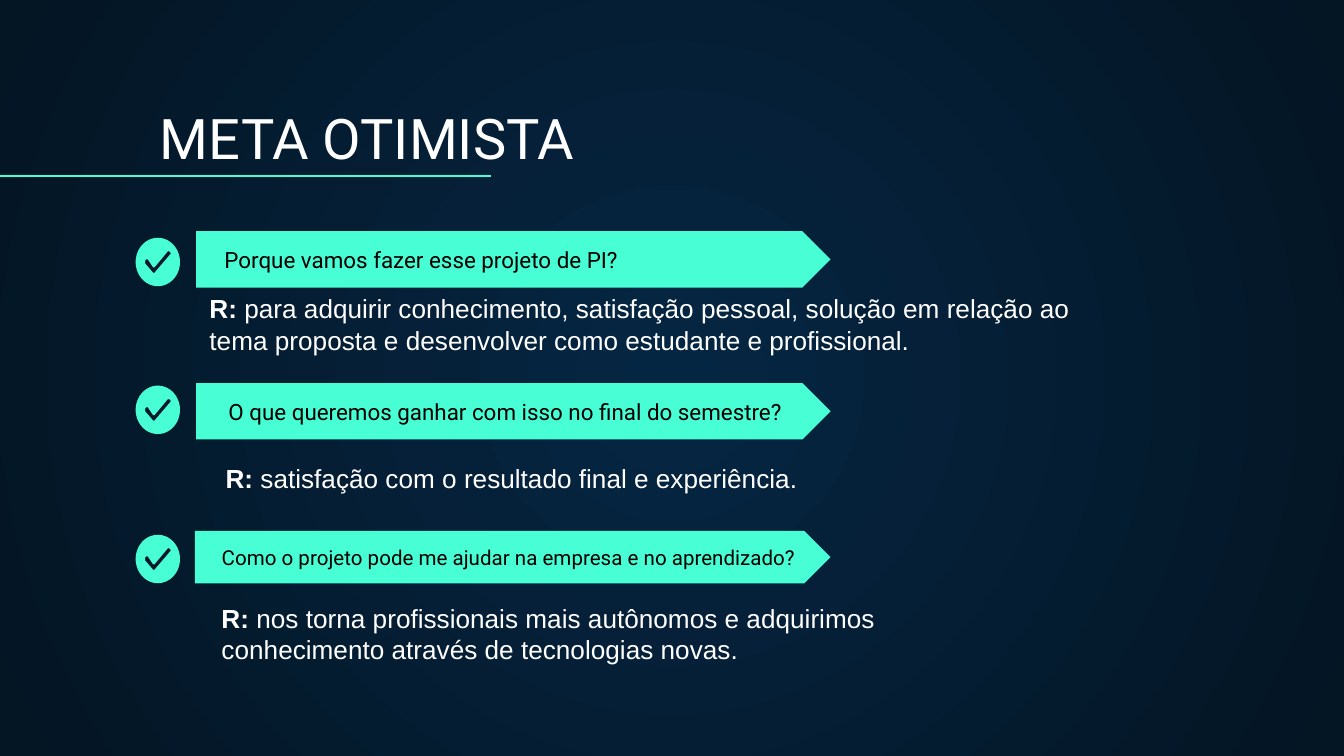
from dataclasses import dataclass
from math import cos, pi, sin

from lxml.etree import SubElement
from pptx import Presentation
from pptx.dml.color import RGBColor
from pptx.enum.shapes import MSO_CONNECTOR, MSO_SHAPE
from pptx.enum.text import MSO_ANCHOR, MSO_AUTO_SIZE, PP_ALIGN
from pptx.oxml.ns import qn
from pptx.util import Inches, Pt


@dataclass(frozen=True)
class Theme:
    center: RGBColor = RGBColor.from_string("052643")
    edge: RGBColor = RGBColor.from_string("041523")
    accent: RGBColor = RGBColor.from_string("48FFD5")
    light: RGBColor = RGBColor.from_string("FFFFFF")
    dark: RGBColor = RGBColor.from_string("000000")
    heading_font: str = "Roboto"
    body_font: str = "Arial"
    title_size: int = 30
    question_size: int = 12
    small_question_size: int = 11
    answer_size: int = 14
    rule_width: float = 0.75


@dataclass(frozen=True)
class Goal:
    question: str
    answer: str
    banner: tuple
    indent: float
    icon_top: float
    answer_box: tuple
    size: int


THEME = Theme()
PAGE_WIDTH = 10
PAGE_HEIGHT = PAGE_WIDTH * 9 / 16
CHECK = [(0.24, 0.1), (0.25, 0.1), (0.26, 0.11), (0.26, 0.12), (0.14, 0.26),
         (0.13, 0.26), (0.07, 0.19), (0.07, 0.17), (0.08, 0.16), (0.09, 0.16),
         (0.13, 0.22), (0.14, 0.22)]
GOALS = [
    Goal("Porque vamos fazer esse projeto de PI?",
         "para adquirir conhecimento, satisfação pessoal, solução em relação ao "
         "tema proposta e desenvolver como estudante e profissional.",
         (1.46, 1.72, 4.72, 0.42), 0.21, 1.77, (1.46, 2.13, 6.85, 0.57),
         THEME.question_size),
    Goal("O que queremos ganhar com isso no final do semestre?",
         "satisfação com o resultado final e experiência.",
         (1.46, 2.85, 4.72, 0.42), 0.24, 2.87, (1.58, 3.39, 5, 0.34),
         THEME.question_size),
    Goal("Como o projeto pode me ajudar na empresa e no aprendizado?",
         "nos torna profissionais mais autônomos e adquirimos "
         "conhecimento através de tecnologias novas.",
         (1.45, 3.95, 4.73, 0.39), 0.2, 3.98, (1.55, 4.43, 6.3, 0.57),
         THEME.small_question_size),
]


def inches(*values):
    return [Inches(value) for value in values]


def write(para, text, *, size, font, color, bold=False):
    span = para.add_run()
    span.text = text
    span.font.size = Pt(size)
    span.font.name = font
    span.font.color.rgb = color
    span.font.bold = bold
    para.alignment = PP_ALIGN.LEFT


def set_frame(frame, anchor, left=0.1, right=0.1, top=0.05, bottom=0.05):
    frame.word_wrap = True
    frame.auto_size = MSO_AUTO_SIZE.NONE
    frame.vertical_anchor = anchor
    frame.margin_left, frame.margin_right = inches(left, right)
    frame.margin_top, frame.margin_bottom = inches(top, bottom)


def paint(shape):
    shape.shadow.inherit = False
    shape.fill.solid()
    shape.fill.fore_color.rgb = THEME.accent
    shape.line.fill.background()


def draw_background(page):
    fill = page.background.fill
    fill.gradient()
    for stop, color in zip(fill.gradient_stops, (THEME.center, THEME.edge)):
        stop.color.rgb = color
    gradient = page.element.find(".//" + qn("a:gradFill"))
    gradient.remove(gradient.find(qn("a:lin")))
    radial = SubElement(gradient, qn("a:path"), {"path": "circle"})
    SubElement(radial, qn("a:fillToRect"), dict.fromkeys("ltrb", "50000"))


def draw_title(page, left, top, width, height):
    box = page.shapes.title
    box.left, box.top, box.width, box.height = inches(left, top, width, height)
    set_frame(box.text_frame, MSO_ANCHOR.BOTTOM, top=0.1, bottom=0.09)
    write(box.text_frame.paragraphs[0], "META OTIMISTA", size=THEME.title_size,
          font=THEME.heading_font, color=THEME.light)
    rule_top = top + height - 0.05
    rule = page.shapes.add_connector(MSO_CONNECTOR.STRAIGHT,
                                     *inches(0, rule_top, 3.65, rule_top))
    rule.line.color.rgb = THEME.accent
    rule.line.width = Pt(THEME.rule_width)
    SubElement(rule.element.spPr, qn("a:effectLst"))


def draw_check(page, left, top, width, height):
    steps = 72
    angles = [2 * pi * step / steps for step in range(steps)]
    disc = [(width / 2 * (1 + cos(angle)), height / 2 * (1 + sin(angle)))
            for angle in angles]
    rim, mark = [[inches(left + x, top + y) for x, y in points]
                 for points in (disc, CHECK)]
    builder = page.shapes.build_freeform(*rim[0])
    builder.add_line_segments(rim[1:], close=True)
    builder.move_to(*mark[0])
    builder.add_line_segments(mark[1:], close=True)
    paint(builder.convert_to_shape())


def draw_goal(page, goal):
    banner = page.shapes.add_shape(MSO_SHAPE.PENTAGON, *inches(*goal.banner))
    paint(banner)
    set_frame(banner.text_frame, MSO_ANCHOR.MIDDLE, left=goal.indent, right=0)
    write(banner.text_frame.paragraphs[0], goal.question, size=goal.size,
          font=THEME.heading_font, color=THEME.dark)

    draw_check(page, 1.01, goal.icon_top, 0.33, 0.36)

    box = page.shapes.add_textbox(*inches(*goal.answer_box))
    set_frame(box.text_frame, MSO_ANCHOR.TOP)
    para = box.text_frame.paragraphs[0]
    style = dict(size=THEME.answer_size, font=THEME.body_font, color=THEME.light)
    write(para, "R: ", bold=True, **style)
    write(para, goal.answer, **style)


def main():
    deck = Presentation()
    deck.slide_width, deck.slide_height = inches(PAGE_WIDTH, PAGE_HEIGHT)
    page = deck.slides.add_slide(deck.slide_layouts[5])
    draw_background(page)
    draw_title(page, 1.09, 0.7, 8.57, 0.66)
    for goal in GOALS:
        draw_goal(page, goal)
    deck.save("out.pptx")


if __name__ == "__main__":
    main()
